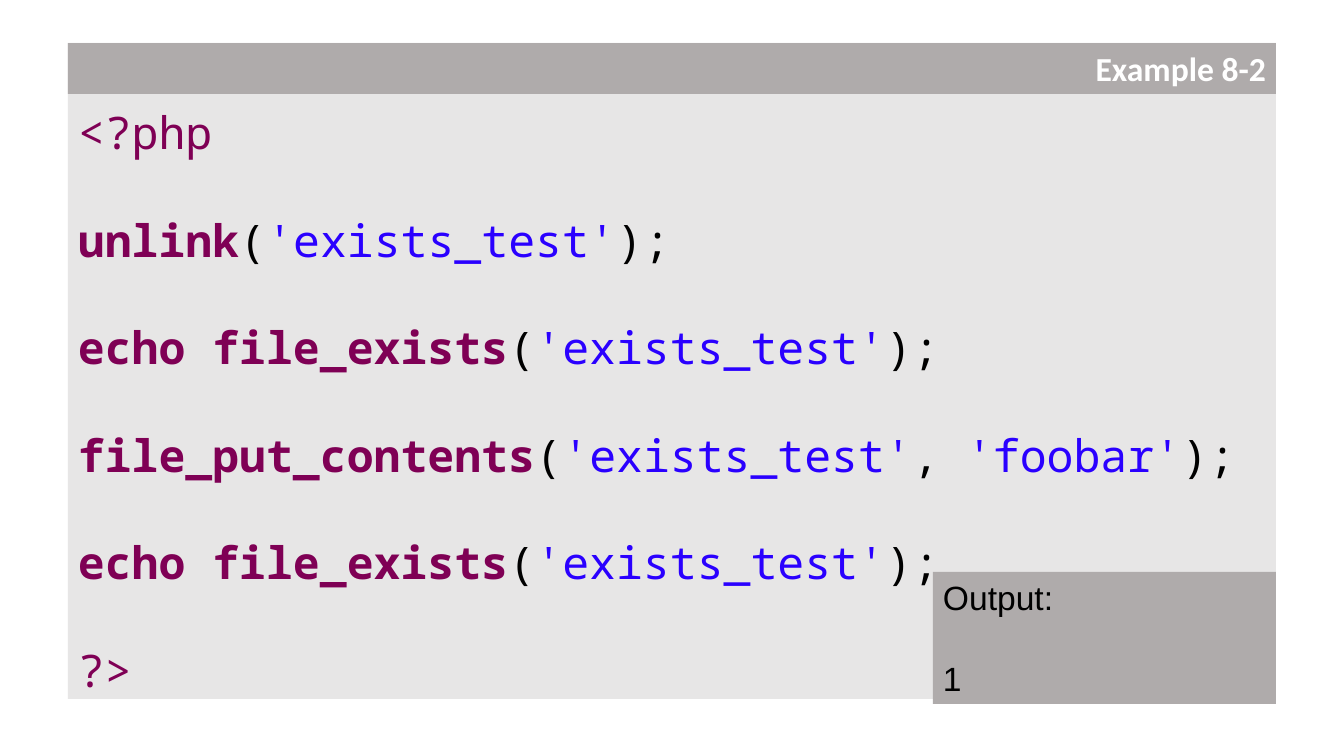
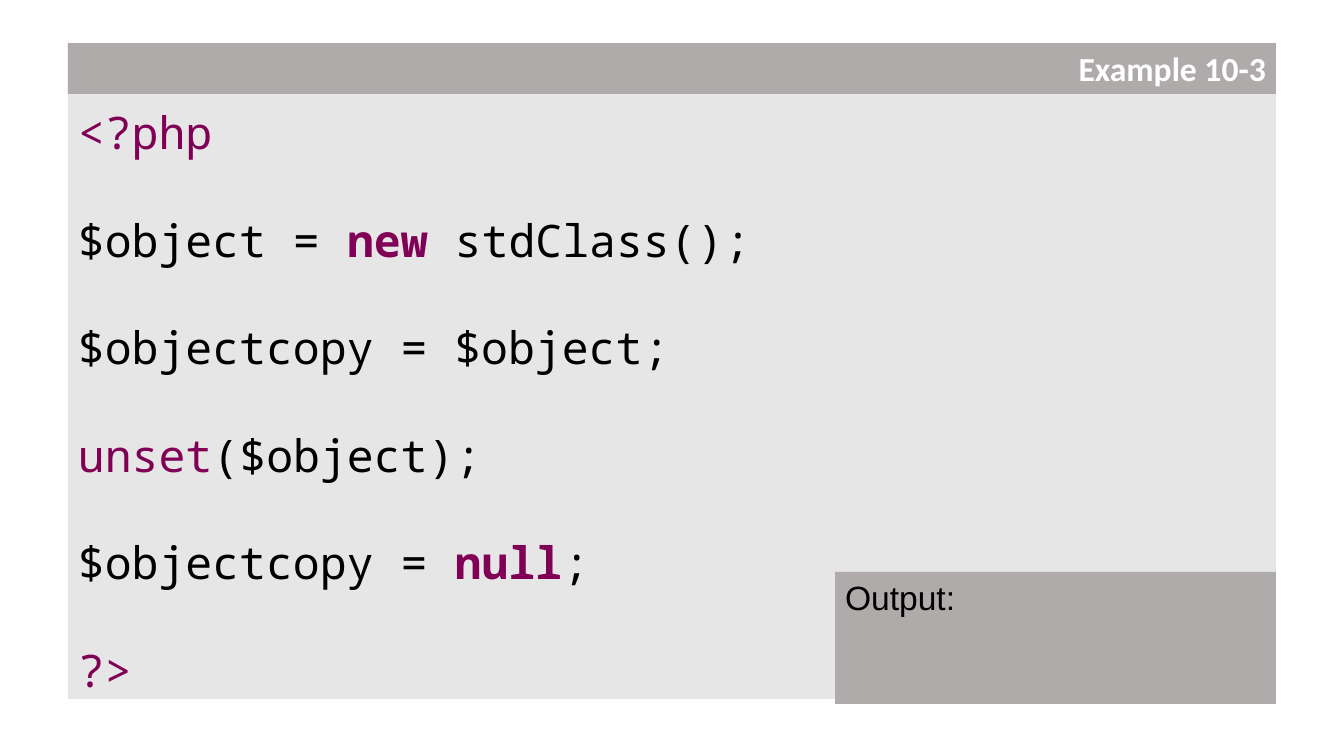
import dataclasses

import pptx
import pptx.dml.color
import pptx.enum.shapes
import pptx.enum.text
import pptx.util

EMU_PER_PX = 914400 / 100.8
SLIDE_WIDTH, SLIDE_HEIGHT = 1344, 756
PANEL_LEFT, PANEL_TOP, PANEL_WIDTH = 68, 43, 1208
PANEL_RIGHT = PANEL_LEFT + PANEL_WIDTH


def px(length):
    return pptx.util.Emu(round(length * EMU_PER_PX))


def color(code):
    return pptx.dml.color.RGBColor.from_string(code)


@dataclasses.dataclass(frozen=True)
class Theme:
    panel: str = "E7E6E6"
    band: str = "AFABAB"
    white: str = "FFFFFF"
    plain: str = "000000"
    keyword: str = "7F0055"
    string: str = "2A00FF"
    title_font: str = "Calibri"
    code_font: str = "Noto Sans Mono"
    output_font: str = "Arial"
    code_size: int = 32
    label_size: int = 24
    code_gap: float = 38.4
    output_gap: float = 29.3


class Deck:
    """Holds the theme, the presentation and the current slide."""

    def __init__(self, theme):
        self.theme = theme
        self.presentation = pptx.Presentation()
        self.presentation.slide_width = px(SLIDE_WIDTH)
        self.presentation.slide_height = px(SLIDE_HEIGHT)
        self.slide = None

    def add_slide(self):
        blank_layout = self.presentation.slide_layouts[6]
        self.slide = self.presentation.slides.add_slide(blank_layout)

    def box(self, left, top, width, height, fill, top_inset=5):
        shape = self.slide.shapes.add_shape(
            pptx.enum.shapes.MSO_SHAPE.RECTANGLE,
            px(left), px(top), px(width), px(height))
        shape.shadow.inherit = False
        shape.fill.solid()
        shape.fill.fore_color.rgb = color(fill)
        shape.line.fill.background()
        frame = shape.text_frame
        frame.word_wrap = True
        frame.vertical_anchor = pptx.enum.text.MSO_ANCHOR.TOP
        frame.margin_left = frame.margin_right = px(10)
        frame.margin_top, frame.margin_bottom = px(top_inset), 0
        return frame

    def paragraph(self, frame, index, font_name, size, gap=0):
        paragraph = frame.add_paragraph() if index else frame.paragraphs[0]
        paragraph.alignment = pptx.enum.text.PP_ALIGN.LEFT
        if index:
            paragraph.space_before = pptx.util.Pt(gap)
        paragraph.font.name = font_name
        paragraph.font.size = pptx.util.Pt(size)
        return paragraph

    def code(self, lines):
        theme = self.theme
        styles = {
            "plain": (theme.plain, False),
            "tag": (theme.keyword, False),
            "keyword": (theme.keyword, True),
            "string": (theme.string, False),
        }
        frame = self.box(PANEL_LEFT, PANEL_TOP, PANEL_WIDTH, 656, theme.panel, top_inset=62)
        for index, line in enumerate(lines):
            paragraph = self.paragraph(
                frame, index, theme.code_font, theme.code_size, theme.code_gap)
            for style, text in line:
                run = paragraph.add_run()
                run.text = text
                run_color, run.font.bold = styles[style]
                run.font.color.rgb = color(run_color)

    def output(self, lines, width):
        theme = self.theme
        frame = self.box(PANEL_RIGHT - width, 572, width, 132, theme.band)
        for index, text in enumerate(lines):
            paragraph = self.paragraph(
                frame, index, theme.output_font, theme.label_size, theme.output_gap)
            paragraph.font.color.rgb = color(theme.plain)
            paragraph.add_run().text = text

    def title(self, text):
        theme = self.theme
        frame = self.box(PANEL_LEFT, PANEL_TOP, PANEL_WIDTH, 51, theme.band)
        paragraph = self.paragraph(frame, 0, theme.title_font, theme.label_size)
        paragraph.alignment = pptx.enum.text.PP_ALIGN.RIGHT
        paragraph.font.bold = True
        paragraph.font.color.rgb = color(theme.white)
        paragraph.add_run().text = text

    def example(self, title, statements, output, output_width):
        self.add_slide()
        self.code([[("tag", "<?php")], *statements, [("tag", "?>")]])
        self.output(output, output_width)
        self.title(title)


def call(function, *arguments):
    """Tokens of a function call with string arguments."""
    tokens = [("keyword", function), ("plain", "(")]
    for index, argument in enumerate(arguments):
        if index:
            tokens.append(("plain", ", "))
        tokens.append(("string", argument))
    return tokens + [("plain", ");")]


def main():
    deck = Deck(Theme())

    # Deleting and creating a file
    test_file = "'exists_test'"
    check_file = call("echo file_exists", test_file)
    deck.example("Example 8-2", [
        call("unlink", test_file),
        check_file,
        call("file_put_contents", test_file, "'foobar'"),
        check_file,
    ], ["Output:", "1"], output_width=343)

    # Removing references to an object
    deck.example("Example 10-3", [
        [("plain", "$object = "), ("keyword", "new "), ("plain", "stdClass();")],
        [("plain", "$objectcopy = $object;")],
        [("tag", "unset"), ("plain", "($object);")],
        [("plain", "$objectcopy = "), ("keyword", "null"), ("plain", ";")],
    ], ["Output:"], output_width=441)

    deck.presentation.save("out.pptx")


if __name__ == "__main__":
    main()
